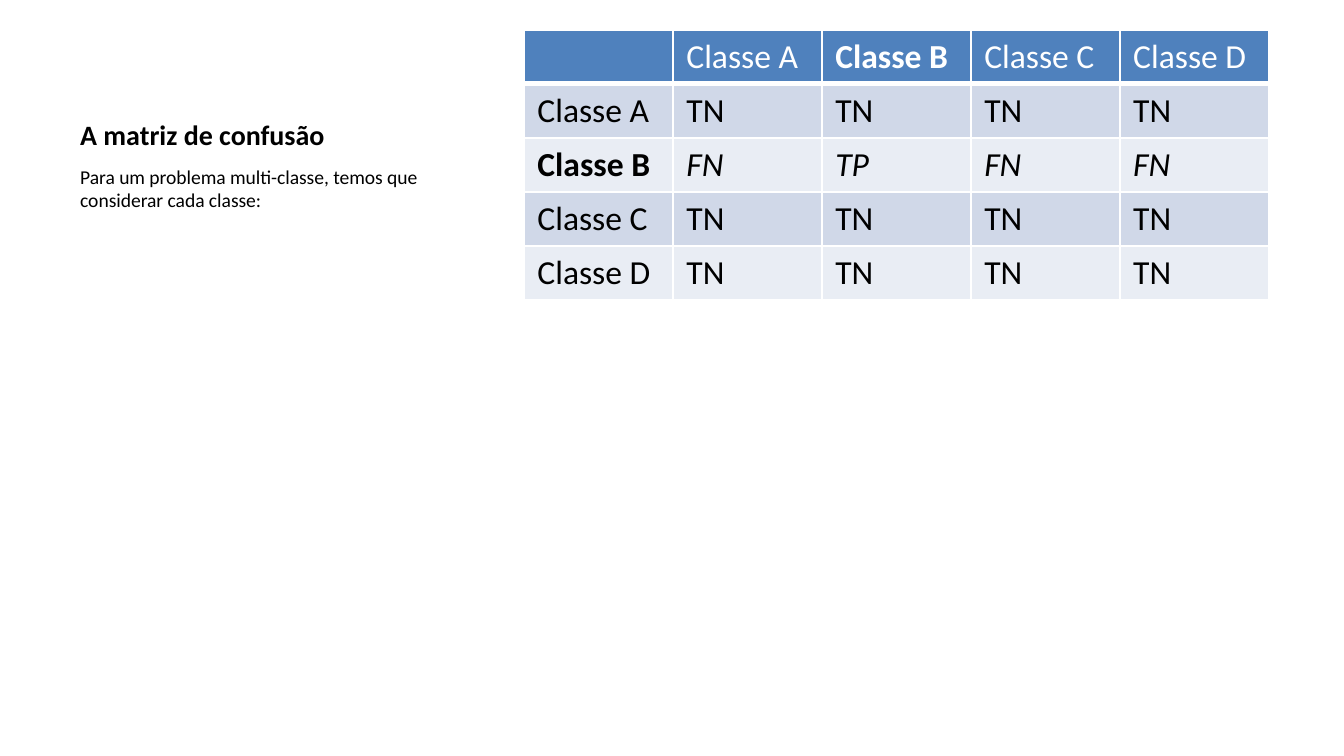
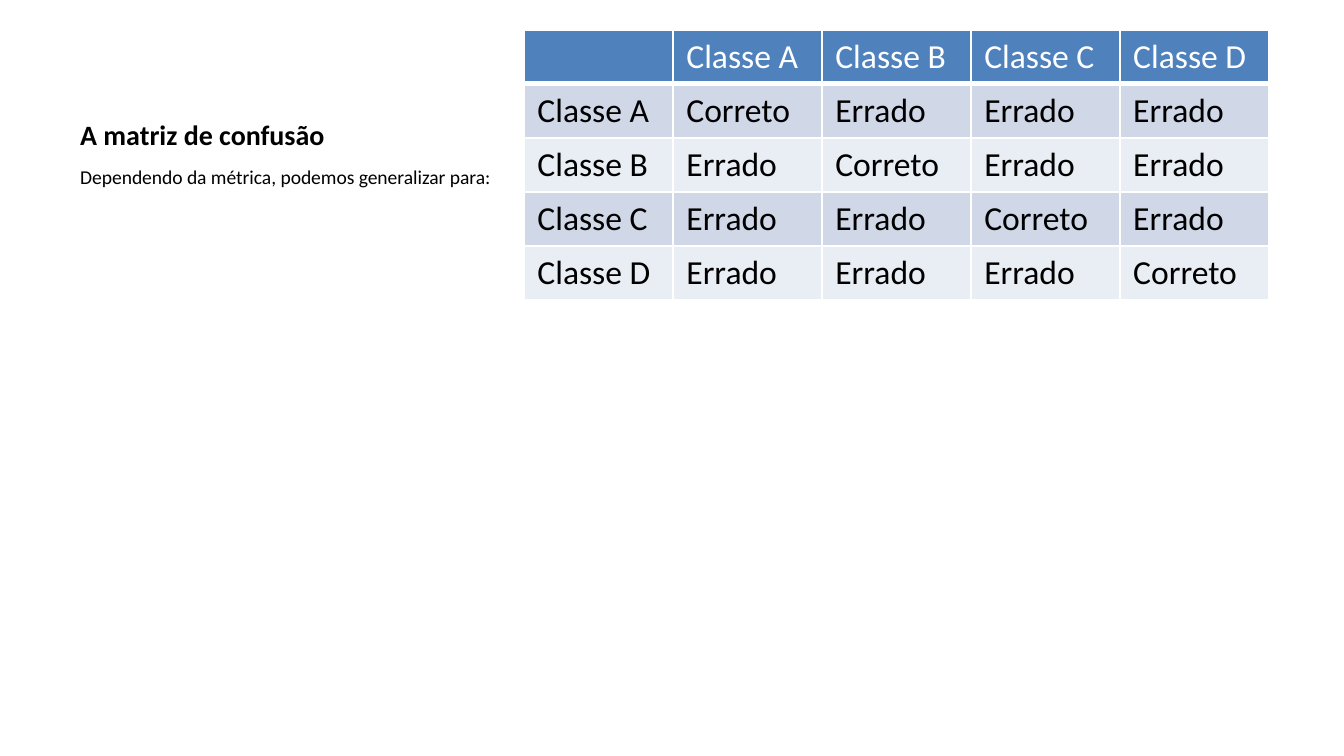
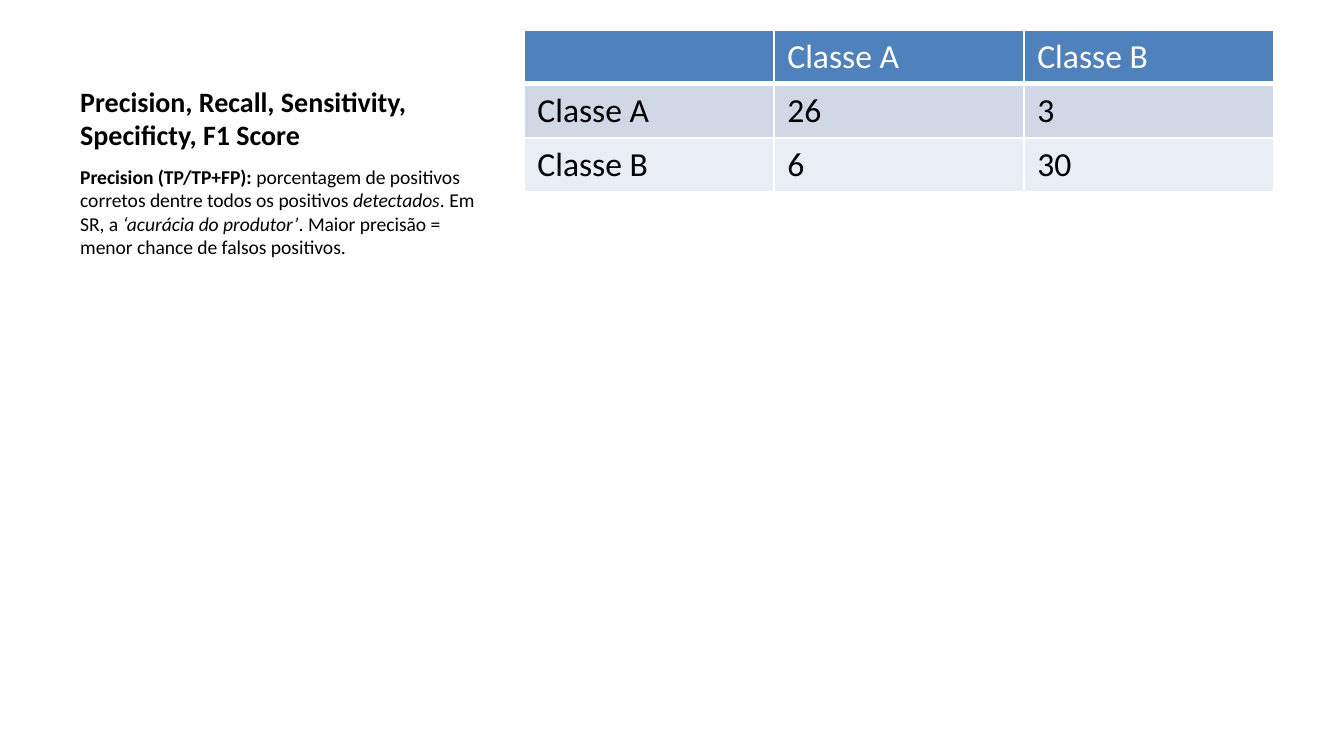
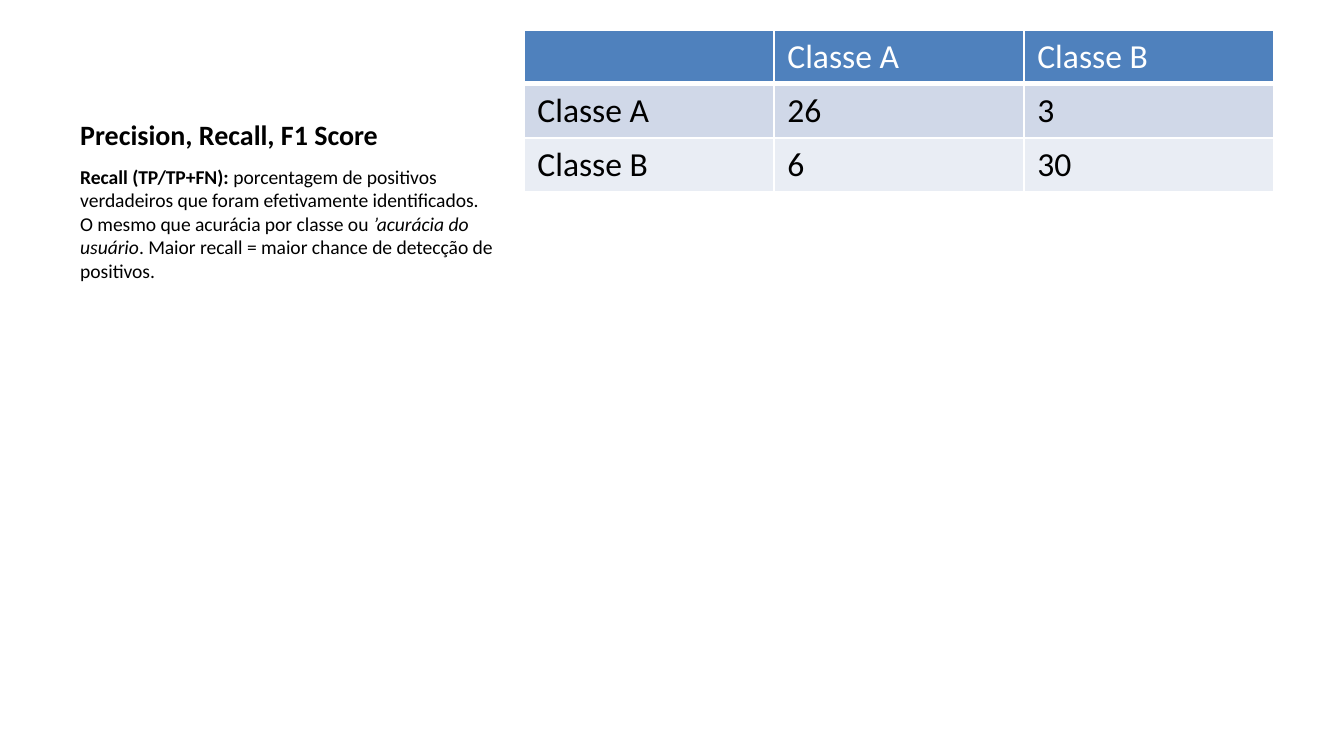
import collections

import lxml.etree
import pptx
import pptx.dml.color
import pptx.enum.text
import pptx.oxml.ns
import pptx.util

EMU_PER_PX = 914400 / 134.4
ANCHOR = pptx.enum.text.MSO_ANCHOR

Span = collections.namedtuple("Span", "text bold italic", defaults=(False, False))


def px(length):
    return pptx.util.Emu(round(length * EMU_PER_PX))


def color(hex_value):
    return pptx.dml.color.RGBColor.from_string(hex_value)


def write(para, text, size=18, ink="000000", bold=False, italic=False):
    span = para.add_run()
    span.text = text
    font = span.font
    font.name = "Calibri"
    font.size = pptx.util.Pt(size)
    font.color.rgb = color(ink)
    font.bold = bold
    font.italic = italic


def as_span(item):
    return item if isinstance(item, Span) else Span(item)


class Deck:
    HEADER = "4F81BD"
    BANDS = ("D0D8E8", "E9EDF4")
    WHITE = "FFFFFF"
    TEXT_LEFT, TEXT_WIDTH = 67, 442
    TABLE_LEFT, TABLE_TOP, ROW_HEIGHT = 524, 30, 54

    def __init__(self):
        self.presentation = pptx.Presentation()
        self.presentation.slide_width = px(1344)
        self.presentation.slide_height = px(756)
        self.page = None

    def add_page(self):
        self.page = self.presentation.slides.add_slide(self.presentation.slide_layouts[6])
        self.page.background.fill.solid()
        self.page.background.fill.fore_color.rgb = color(self.WHITE)

    def add_text(self, top, height, spans, size, anchor=ANCHOR.TOP):
        box = self.page.shapes.add_textbox(
            px(self.TEXT_LEFT), px(top), px(self.TEXT_WIDTH), px(height))
        frame = box.text_frame
        frame.word_wrap = True
        frame.vertical_anchor = anchor
        for span in map(as_span, spans):
            write(frame.paragraphs[0], span.text, size, bold=span.bold, italic=span.italic)

    def add_title(self, text):
        self.add_text(30, 128, [Span(text, bold=True)], 15, ANCHOR.BOTTOM)

    def add_body(self, *spans):
        self.add_text(158, 518, spans, 10.5)

    def add_border(self, cell, bottom_width):
        properties = cell._tc.get_or_add_tcPr()
        widths = {"a:lnL": 1, "a:lnR": 1, "a:lnT": 1, "a:lnB": bottom_width}
        for position, (side, width) in enumerate(widths.items()):
            line = lxml.etree.Element(
                pptx.oxml.ns.qn(side), w=str(pptx.util.Pt(width)))
            fill = lxml.etree.SubElement(line, pptx.oxml.ns.qn("a:solidFill"))
            lxml.etree.SubElement(fill, pptx.oxml.ns.qn("a:srgbClr"), val=self.WHITE)
            properties.insert(position, line)

    def add_matrix(self, classes, values, column_width):
        """Add a table with the class names along its top and its left side."""
        rows = [["", *classes]]
        rows += [[name, *line] for name, line in zip(classes, values)]
        count = len(rows)
        table = self.page.shapes.add_table(
            count, count, px(self.TABLE_LEFT), px(self.TABLE_TOP),
            px(column_width * count), px(self.ROW_HEIGHT * count)).table
        table.first_row = table.horz_banding = False
        for column in table.columns:
            column.width = px(column_width)
        for row_index, row in enumerate(rows):
            table.rows[row_index].height = px(self.ROW_HEIGHT)
            is_header = row_index == 0
            for column_index, item in enumerate(row):
                cell = table.cell(row_index, column_index)
                cell.fill.solid()
                cell.fill.fore_color.rgb = color(
                    self.HEADER if is_header else self.BANDS[(row_index - 1) % 2])
                self.add_border(cell, 3 if is_header else 1)
                span = as_span(item)
                if span.text:
                    write(cell.text_frame.paragraphs[0], span.text,
                          ink=self.WHITE if is_header else "000000",
                          bold=span.bold, italic=span.italic)


def main():
    deck = Deck()
    classes = ["Classe A", "Classe B", "Classe C", "Classe D"]

    negatives = ["TN"] * 4
    positives = [Span(text, italic=True) for text in ("FN", "TP", "FN", "FN")]
    focus = [Span(name, bold=name == "Classe B") for name in classes]
    deck.add_page()
    deck.add_title("A matriz de confusão")
    deck.add_body("Para um problema multi-classe, temos que considerar cada classe:")
    deck.add_matrix(focus, [negatives, positives, negatives, negatives], 149)

    outcomes = [["Correto" if actual == guess else "Errado" for guess in classes]
                for actual in classes]
    deck.add_page()
    deck.add_title("A matriz de confusão")
    deck.add_body("Dependendo da métrica, podemos generalizar para:")
    deck.add_matrix(classes, outcomes, 149)

    metrics = [
        ("Precision, Recall, Sensitivity, Specificty, F1 Score", [
            Span("Precision (TP/TP+FP):", bold=True),
            " porcentagem de positivos corretos dentre todos os positivos ",
            Span("detectados", italic=True),
            ". Em SR, a ",
            Span("‘acurácia do produtor’", italic=True),
            ". Maior precisão = menor chance de falsos positivos.",
        ]),
        ("Precision, Recall, F1 Score", [
            Span("Recall (TP/TP+FN):", bold=True),
            " porcentagem de positivos verdadeiros que foram efetivamente identificados. "
            "O mesmo que acurácia por classe ou ",
            Span("’acurácia do usuário", italic=True),
            ". Maior recall = maior chance de detecção de positivos.",
        ]),
    ]
    for title, definition in metrics:
        deck.add_page()
        deck.add_title(title)
        deck.add_body(*definition)
        deck.add_matrix(classes[:2], [["26", "3"], ["6", "30"]], 250)

    deck.presentation.save("out.pptx")


if __name__ == "__main__":
    main()
